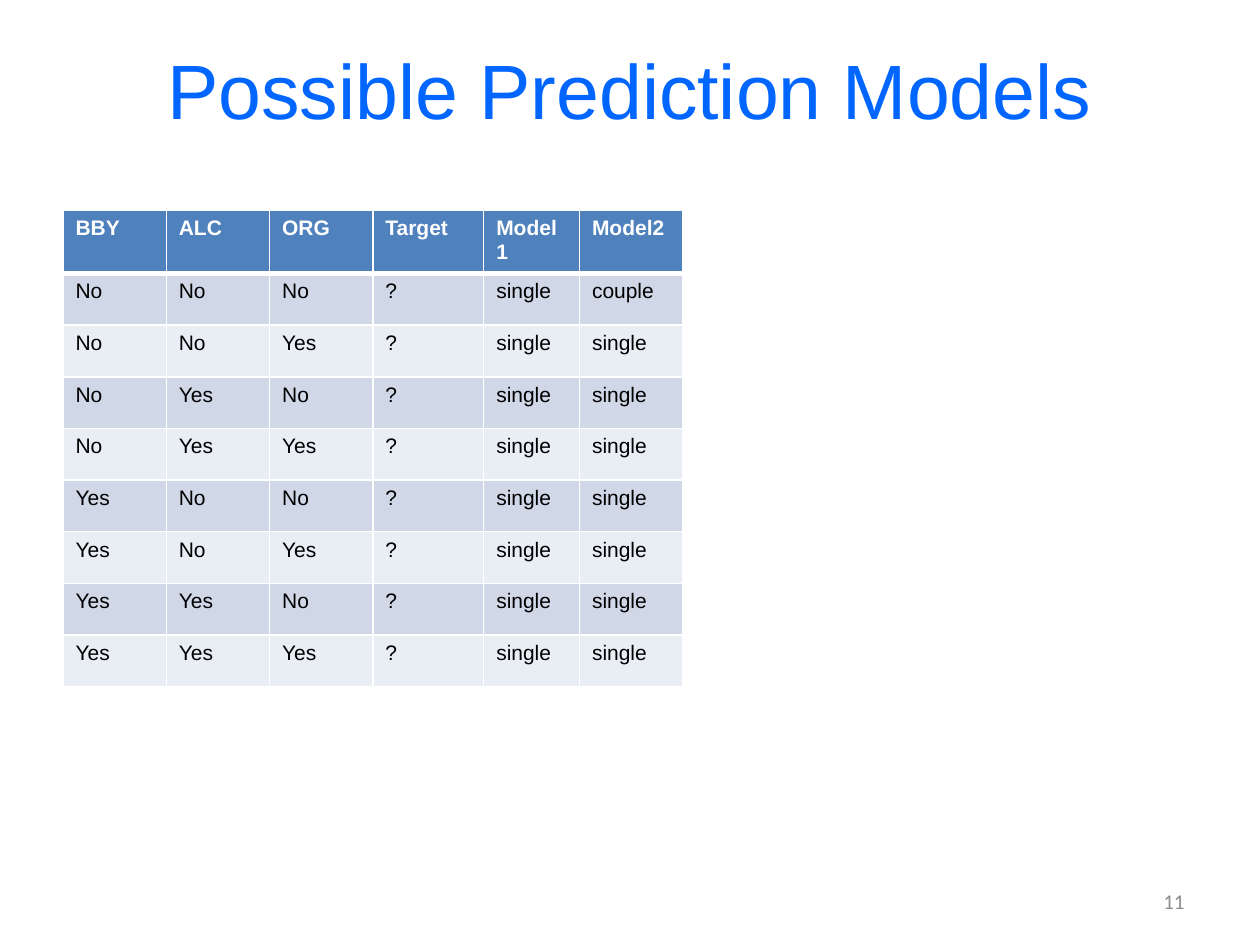
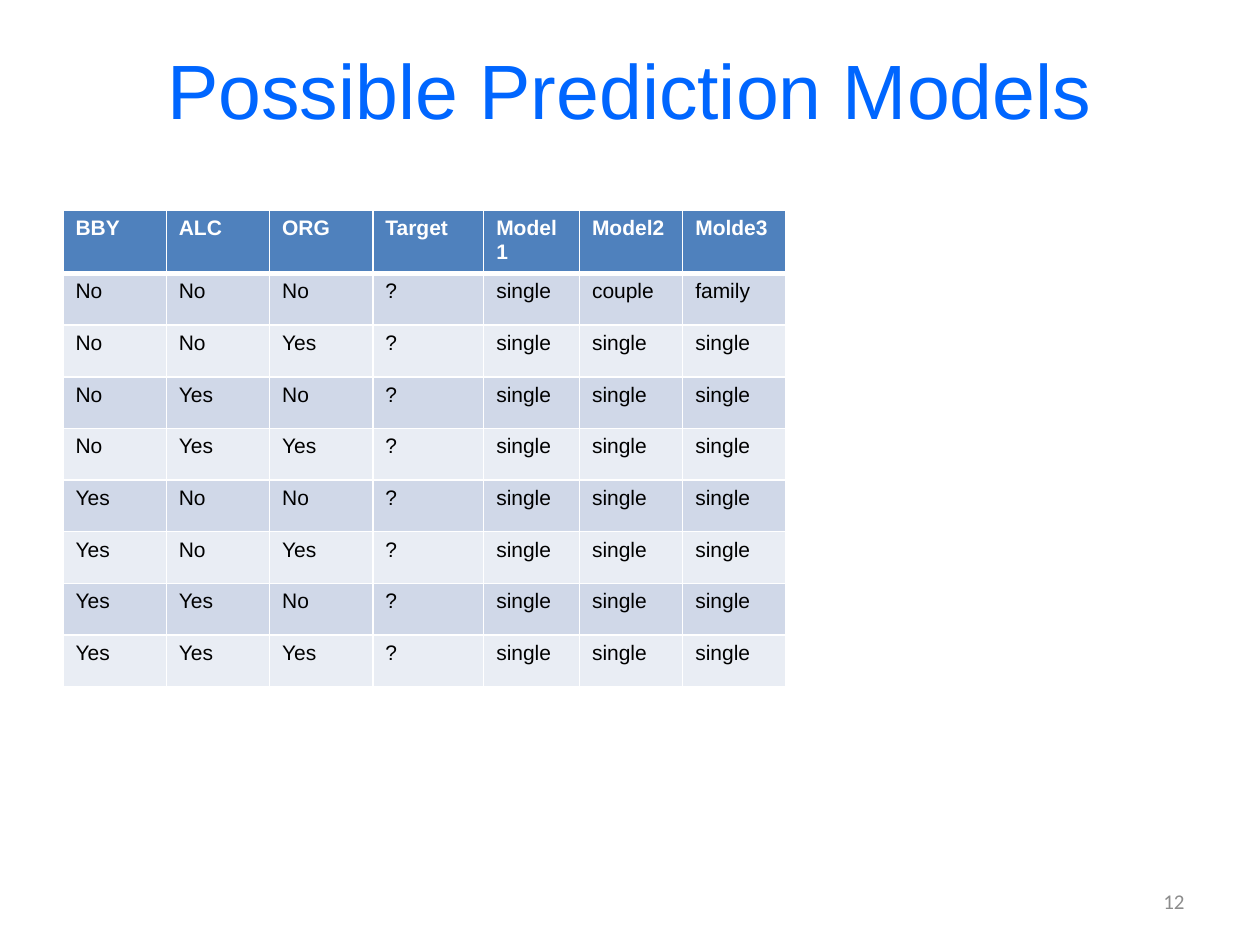
import dataclasses
import itertools

import lxml.etree
import pptx
import pptx.dml.color
import pptx.enum.text
import pptx.oxml.ns
import pptx.util

Inches = pptx.util.Inches
Align = pptx.enum.text.PP_ALIGN


@dataclasses.dataclass(frozen=True)
class Theme:
    """Colours, fonts and type sizes shared by the slides."""
    title_color: str = "0066FF"
    number_color: str = "8C8C8C"
    header_fill: str = "4F81BD"
    band_fills: tuple = ("D0D8E8", "E9EDF4")
    header_text: str = "FFFFFF"
    body_text: str = "000000"
    border: str = "FFFFFF"
    font: str = "Arial"
    number_font: str = "Calibri"
    title_size: int = 44
    small_size: int = 12
    thin_border: int = 1
    thick_border: int = 3


THEME = Theme()
TITLE = "Possible Prediction Models"
TITLE_BOX = (0.5, 0.08, 9, 1.25)
NUMBER_BOX = (7.17, 6.95, 2.33, 0.4)
TABLE_ORIGIN = (0.5, 1.67)
HEADER_HEIGHT, ROW_HEIGHT = 0.5, 0.41
COLUMN_WIDTH = 0.82
SPECIAL_WIDTHS = {"Target": 0.88, "Model1": 0.76}
FEATURES = ["BBY", "ALC", "ORG"]
FIRST_ROW_PREDICTIONS = {"Model1": "single", "Model2": "couple", "Molde3": "family"}
OTHER_PREDICTION = "single"


def rgb(color):
    """Turn a hex string into a colour."""
    return pptx.dml.color.RGBColor.from_string(color)


def add_run(paragraph, text, size, color, font=THEME.font, bold=False):
    """Add one styled run to a paragraph."""
    run = paragraph.add_run()
    run.text = text
    run.font.name = font
    run.font.size = pptx.util.Pt(size)
    run.font.bold = bold
    run.font.color.rgb = rgb(color)


def add_label(slide, box, alignment, text, size, color, font=THEME.font):
    """Place a vertically centred line of text in a box."""
    shape = slide.shapes.add_textbox(*map(Inches, box))
    frame = shape.text_frame
    frame.word_wrap = True
    frame.vertical_anchor = pptx.enum.text.MSO_ANCHOR.MIDDLE
    paragraph = frame.paragraphs[0]
    paragraph.alignment = alignment
    add_run(paragraph, text, size, color, font)


def set_border(cell, side, width):
    """Draw one edge (L, R, T or B) of a cell."""
    properties = cell._tc.get_or_add_tcPr()
    qn = pptx.oxml.ns.qn
    line = lxml.etree.SubElement(properties, qn(f"a:ln{side}"), w=str(pptx.util.Pt(width)))
    fill = lxml.etree.SubElement(line, qn("a:solidFill"))
    lxml.etree.SubElement(fill, qn("a:srgbClr"), val=THEME.border)


def style_cell(cell, row, text):
    """Fill, border and write one cell according to its row."""
    is_header = row == 0
    thick_side = {0: "B", 1: "T"}.get(row)
    for side in "LRTB":
        set_border(cell, side, THEME.thick_border if side == thick_side else THEME.thin_border)
    cell.fill.solid()
    cell.fill.fore_color.rgb = rgb(THEME.header_fill if is_header else THEME.band_fills[(row - 1) % 2])
    color = THEME.header_text if is_header else THEME.body_text
    add_run(cell.text_frame.paragraphs[0], text, THEME.small_size, color, bold=is_header)


def prediction_rows(models):
    """List the header and every feature combination with its predictions."""
    rows = [[*FEATURES, "Target", *models]]
    for index, answers in enumerate(itertools.product(["No", "Yes"], repeat=len(FEATURES))):
        predictions = [OTHER_PREDICTION if index else FIRST_ROW_PREDICTIONS[model] for model in models]
        rows.append([*answers, "?", *predictions])
    return rows


def add_prediction_table(slide, origin, models):
    """Place the table of predictions at its top-left corner."""
    rows = prediction_rows(models)
    widths = [SPECIAL_WIDTHS.get(name, COLUMN_WIDTH) for name in rows[0]]
    heights = [HEADER_HEIGHT] + [ROW_HEIGHT] * (len(rows) - 1)
    box = (*origin, sum(widths), sum(heights))
    table = slide.shapes.add_table(len(rows), len(widths), *map(Inches, box)).table
    for column, width in zip(table.columns, widths):
        column.width = Inches(width)
    for row, height in zip(table.rows, heights):
        row.height = Inches(height)
    for row, values in enumerate(rows):
        for column, text in enumerate(values):
            style_cell(table.cell(row, column), row, text)


def add_model_slide(presentation, number, models):
    """Add a titled, numbered slide comparing the given models."""
    slide = presentation.slides.add_slide(presentation.slide_layouts[6])
    add_label(slide, TITLE_BOX, Align.CENTER, TITLE, THEME.title_size, THEME.title_color)
    add_prediction_table(slide, TABLE_ORIGIN, models)
    add_label(slide, NUMBER_BOX, Align.RIGHT, str(number), THEME.small_size,
              THEME.number_color, THEME.number_font)


def main():
    """Build and save the presentation."""
    presentation = pptx.Presentation()
    presentation.slide_width, presentation.slide_height = Inches(10), Inches(7.5)
    models = list(FIRST_ROW_PREDICTIONS)
    add_model_slide(presentation, 11, models[:2])
    add_model_slide(presentation, 12, models)
    presentation.save("out.pptx")


if __name__ == "__main__":
    main()
